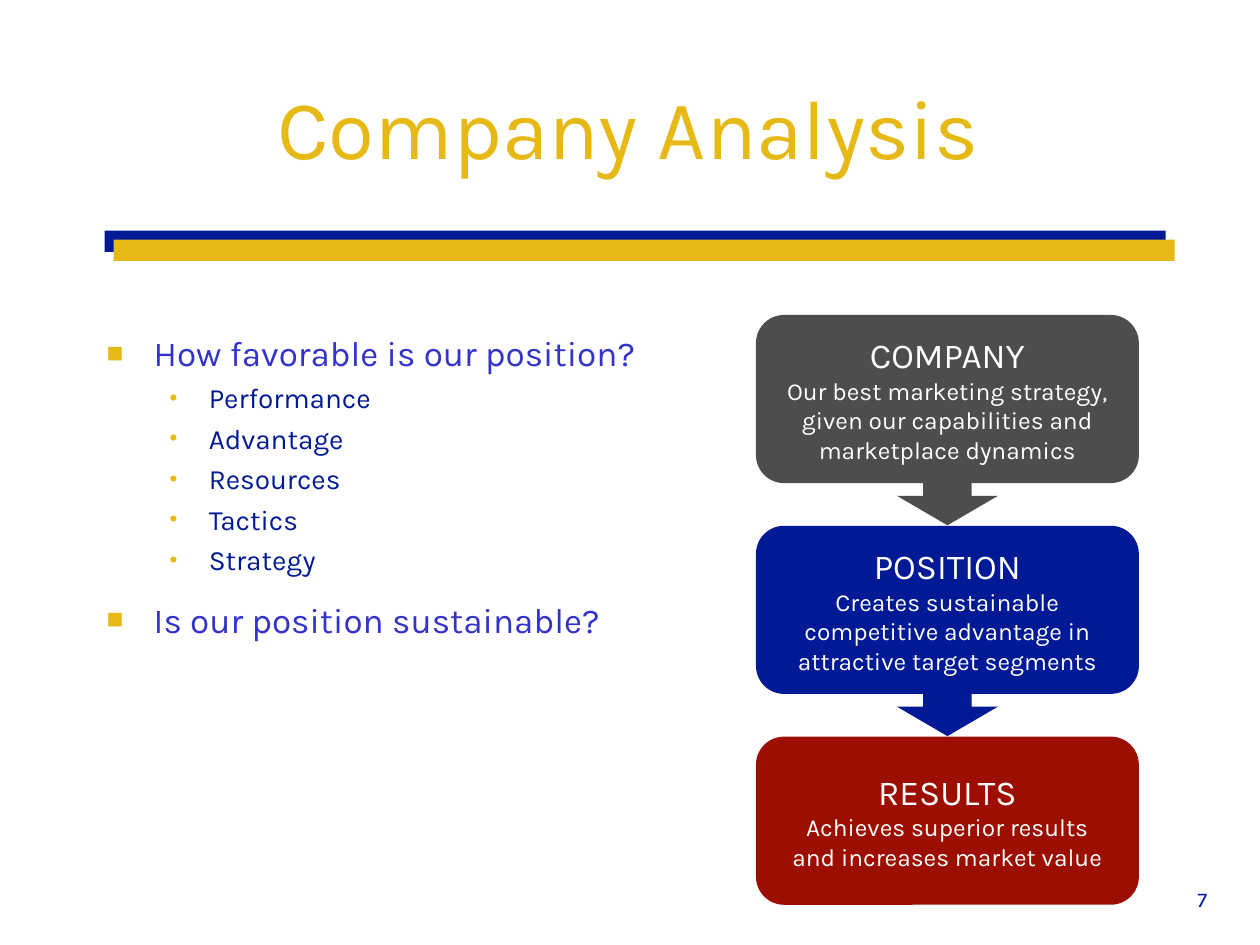
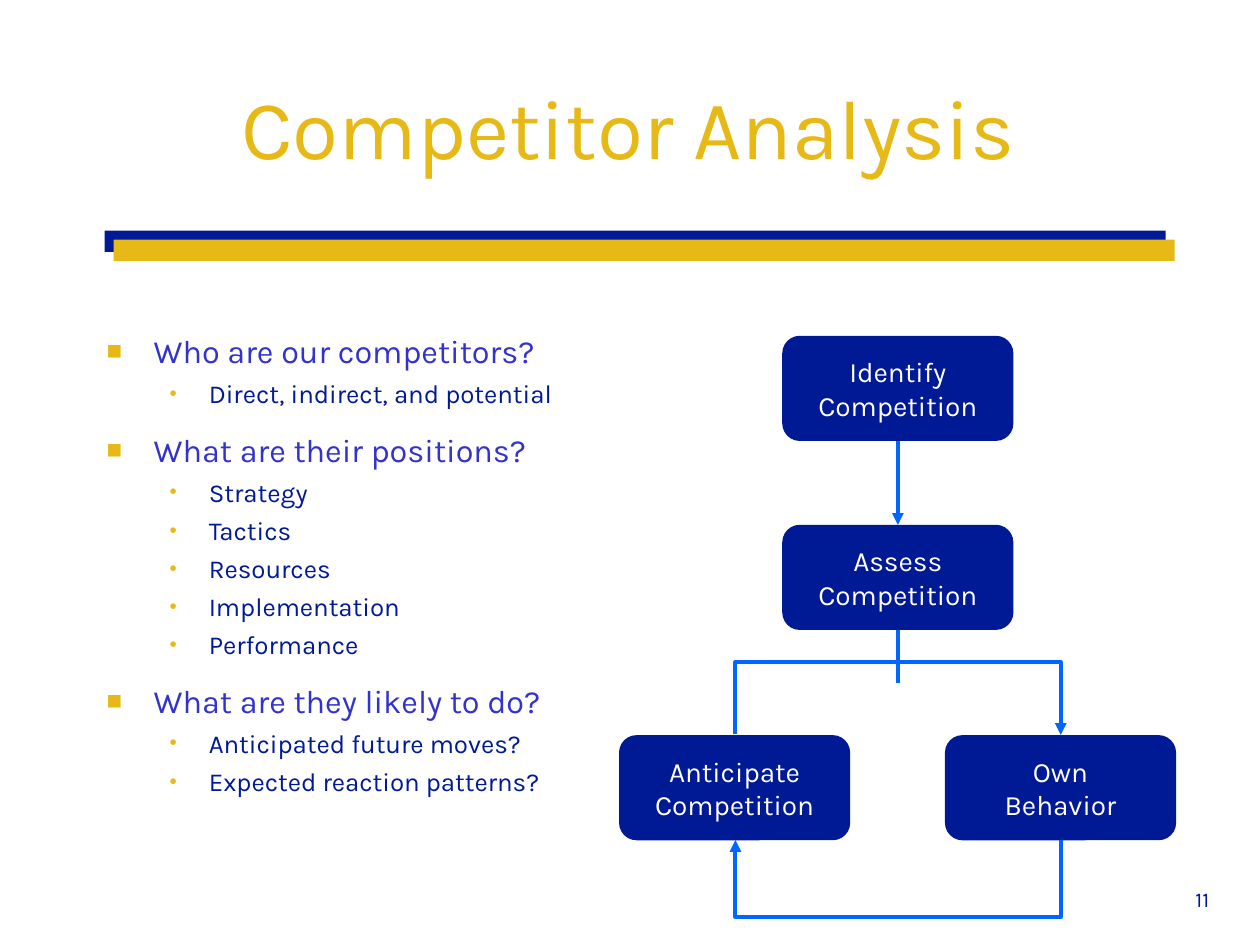
"""Build two marketing slides: company analysis and competitor analysis."""
import lxml.etree
import pptx
import pptx.dml.color
import pptx.enum.shapes
import pptx.enum.text
import pptx.oxml.ns
import pptx.util

Cm = pptx.util.Cm
Pt = pptx.util.Pt
qn = pptx.oxml.ns.qn
PRESETS = pptx.enum.shapes.MSO_SHAPE
CONNECTORS = pptx.enum.shapes.MSO_CONNECTOR
ANCHORS = pptx.enum.text.MSO_ANCHOR
CENTER = pptx.enum.text.PP_ALIGN.CENTER

FONT = "Karla"
COLORS = {
    "navy": "001994",
    "gold": "E6B916",
    "violet": "3333CC",
    "gray": "4D4D4D",
    "red": "9C0F00",
    "arrow": "0066FF",
    "white": "FFFFFF",
}


def add_block(slide, preset, left, top, width, height, color):
    """Add a plain filled shape, measured in centimetres."""
    shape = slide.shapes.add_shape(preset, Cm(left), Cm(top), Cm(width), Cm(height))
    shape.shadow.inherit = False
    shape.fill.solid()
    shape.fill.fore_color.rgb = pptx.dml.color.RGBColor.from_string(COLORS[color])
    shape.line.fill.background()
    return shape


def write_centered(shape, text, size, color, anchor=ANCHORS.MIDDLE, wrap=False):
    """Fill a shape with centred text in the deck font."""
    text_frame = shape.text_frame
    text_frame.text = text
    text_frame.word_wrap = wrap
    text_frame.vertical_anchor = anchor
    for paragraph in text_frame.paragraphs:
        paragraph.alignment = CENTER
        for run in paragraph.runs:
            run.font.name = FONT
            run.font.size = Pt(size)
            run.font.color.rgb = pptx.dml.color.RGBColor.from_string(COLORS[color])


presentation = pptx.Presentation()
presentation.slide_width = Cm(25.4)
presentation.slide_height = Cm(19.05)

bullet_levels = [
    {"symbol": "■", "color": "violet", "margin": 0.95, "hanging": 0.95, "before": 12.5},
    {"symbol": "•", "color": "navy", "margin": 2.06, "hanging": 0.79, "before": 4},
]

pages = [
    {
        "title": "Company Analysis",
        "number": "7",
        "body_width": 11.43,
        "sizes": [20, 16],
        "questions": [
            ("How favorable is our position?",
             ["Performance", "Advantage", "Resources", "Tactics", "Strategy"]),
            ("Is our position sustainable?", []),
        ],
    },
    {
        "title": "Competitor Analysis",
        "number": "11",
        "body_width": 9.96,
        "sizes": [18.5, 14.8],
        "questions": [
            ("Who are our competitors?", ["Direct, indirect, and potential"]),
            ("What are their positions?",
             ["Strategy", "Tactics", "Resources", "Implementation", "Performance"]),
            ("What are they likely to do?",
             ["Anticipated future moves?", "Expected reaction patterns?"]),
        ],
    },
]

slides = []
for page in pages:
    slide = presentation.slides.add_slide(presentation.slide_layouts[6])
    slides.append(slide)
    add_block(slide, PRESETS.RECTANGLE, 2.11, 4.65, 21.39, 0.43, "navy")
    add_block(slide, PRESETS.RECTANGLE, 2.29, 4.83, 21.39, 0.43, "gold")

    number_box = slide.shapes.add_textbox(Cm(23.29), Cm(17.75), Cm(1.9), Cm(1.27))
    write_centered(number_box, page["number"], 12, "navy", ANCHORS.TOP, True)
    title_box = slide.shapes.add_textbox(Cm(0.36), Cm(0.84), Cm(24.61), Cm(3.38))
    write_centered(title_box, page["title"], 48, "gold", ANCHORS.MIDDLE, True)

    body = slide.shapes.add_textbox(Cm(1.9), Cm(6.56), Cm(page["body_width"]), Cm(11.86))
    body.text_frame.word_wrap = True
    lines = []
    for question, answers in page["questions"]:
        lines.append((0, question))
        lines += [(1, answer) for answer in answers]
    body.text_frame.text = "\n".join(text for _, text in lines)

    for index, (level_number, _) in enumerate(lines):
        level = bullet_levels[level_number]
        paragraph = body.text_frame.paragraphs[index]
        paragraph.level = level_number
        properties = paragraph._p.get_or_add_pPr()
        properties.set("marL", str(Cm(level["margin"])))
        properties.set("indent", str(-Cm(level["hanging"])))
        bullet_color = lxml.etree.SubElement(properties, qn("a:buClr"))
        lxml.etree.SubElement(bullet_color, qn("a:srgbClr"), val=COLORS["gold"])
        lxml.etree.SubElement(properties, qn("a:buSzPct"), val="80000")
        lxml.etree.SubElement(properties, qn("a:buFont"), typeface="Arial")
        lxml.etree.SubElement(properties, qn("a:buChar"), char=level["symbol"])
        paragraph.space_before = Pt(level["before"] if index else 0)
        run = paragraph.runs[0]
        run.font.name = FONT
        run.font.size = Pt(page["sizes"][level_number])
        run.font.color.rgb = pptx.dml.color.RGBColor.from_string(COLORS[level["color"]])

company_slide, competitor_slide = slides

stages = [
    ("gray", "COMPANY\vOur best marketing strategy,\ngiven our capabilities and\nmarketplace dynamics"),
    ("navy", "POSITION\vCreates sustainable\ncompetitive advantage in\nattractive target segments"),
    ("red", "RESULTS\vAchieves superior results\nand increases market value"),
]
stage_height = 3.39
for index, (color, text) in enumerate(stages):
    top = 6.35 + index * 4.25
    stage = add_block(company_slide, PRESETS.ROUNDED_RECTANGLE, 15.24, top, 7.72, stage_height, color)
    write_centered(stage, text, 14, "white")
    stage.text_frame.paragraphs[0].runs[0].font.size = Pt(20)
    if index < len(stages) - 1:
        arrow = add_block(company_slide, PRESETS.DOWN_ARROW, 18.08, top + stage_height, 2.04, 0.85, color)
        arrow.adjustments[0] = 0.48
        arrow.adjustments[1] = 0.7

steps = [
    ("Identify\nCompetition", 15.77, 6.77),
    ("Assess\nCompetition", 15.77, 10.58),
    ("Anticipate\nCompetition", 12.48, 14.82),
    ("Own\nBehavior", 19.05, 14.82),
]
for text, left, top in steps:
    step = add_block(competitor_slide, PRESETS.ROUNDED_RECTANGLE, left, top, 4.66, 2.12, "navy")
    write_centered(step, text, 16, "white")

middle = 18.1
loop_span = 6.56
loop_depth = 0.01
links = [
    {"top": 8.89, "height": 1.69, "arrow": True},
    {"top": 12.7, "height": 1.06, "arrow": False},
    {"top": 14.81 - loop_span / 2, "height": loop_span, "arrow": True,
     "turn": 270, "flip": True, "reach": -1.45},
    {"top": 16.93 - loop_span / 2, "height": loop_span, "arrow": True,
     "turn": 90, "flip": False, "reach": 1.56},
]
for link in links:
    is_loop = "turn" in link
    connector = competitor_slide.shapes.add_connector(
        CONNECTORS.ELBOW if is_loop else CONNECTORS.STRAIGHT,
        Cm(middle), Cm(link["top"]),
        Cm(middle + (loop_depth if is_loop else 0)), Cm(link["top"] + link["height"]),
    )
    connector.line.width = Pt(2.25)
    connector.line.color.rgb = pptx.dml.color.RGBColor.from_string(COLORS["arrow"])
    shape_properties = connector._element.spPr
    lxml.etree.SubElement(shape_properties, qn("a:effectLst"))
    if link["arrow"]:
        line = shape_properties.find(qn("a:ln"))
        lxml.etree.SubElement(line, qn("a:tailEnd"), type="triangle")
    if is_loop:
        transform = shape_properties.find(qn("a:xfrm"))
        transform.set("rot", str(link["turn"] * 60000))
        if link["flip"]:
            transform.set("flipH", "1")
        guides = shape_properties.find(qn("a:prstGeom")).find(qn("a:avLst"))
        bend = round(link["reach"] / loop_depth * 100000)
        lxml.etree.SubElement(guides, qn("a:gd"), name="adj1", fmla=f"val {bend}")

presentation.save("out.pptx")
